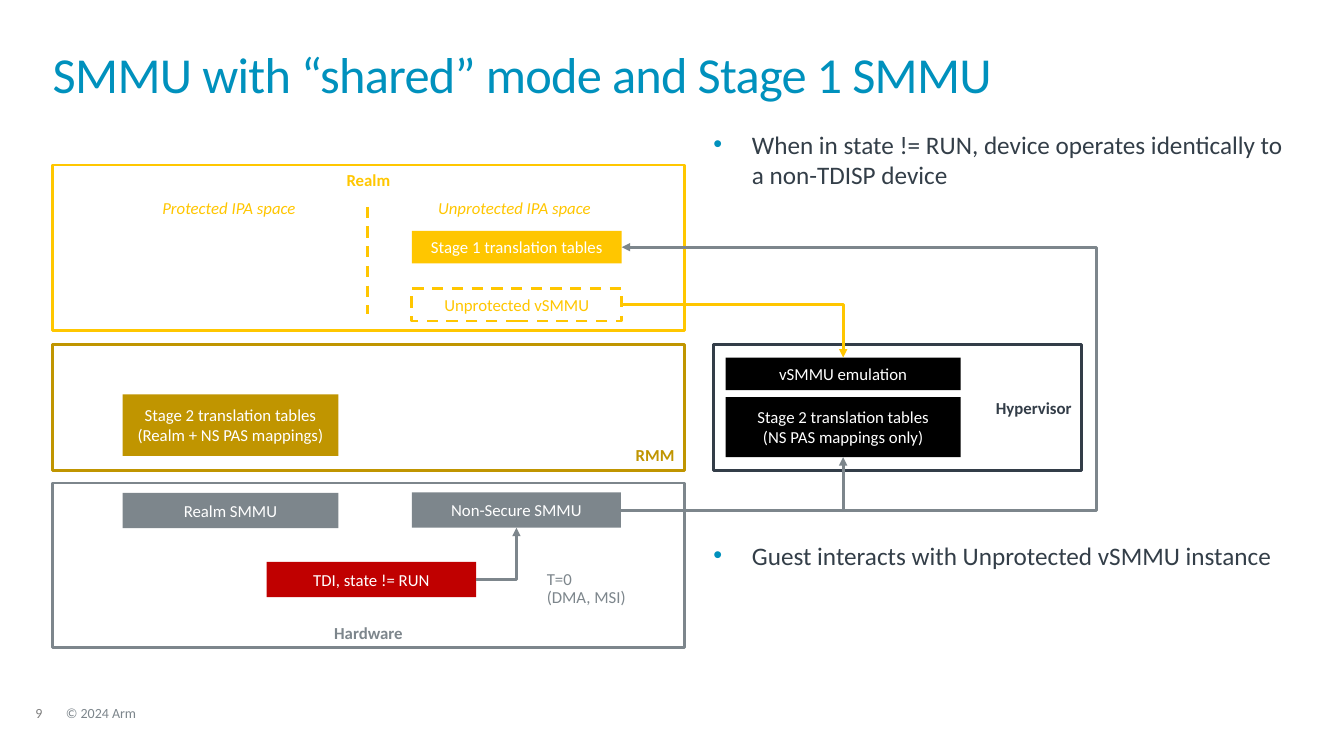
from dataclasses import dataclass

from lxml import etree
from pptx import Presentation
from pptx.dml.color import RGBColor
from pptx.enum.dml import MSO_LINE
from pptx.enum.shapes import MSO_CONNECTOR, MSO_SHAPE
from pptx.enum.text import MSO_ANCHOR, PP_ALIGN
from pptx.oxml.ns import qn
from pptx.util import Cm, Pt

DASH = MSO_LINE.DASH
STRAIGHT, ELBOW = MSO_CONNECTOR.STRAIGHT, MSO_CONNECTOR.ELBOW
RECTANGLE = MSO_SHAPE.RECTANGLE
TOP, MIDDLE, BOTTOM = MSO_ANCHOR.TOP, MSO_ANCHOR.MIDDLE, MSO_ANCHOR.BOTTOM
LEFT, CENTER, RIGHT = PP_ALIGN.LEFT, PP_ALIGN.CENTER, PP_ALIGN.RIGHT

FONT = "Calibri"
BLUE, SLATE, GREY, PAGE_GREY = "0091BD", "333E48", "7D868C", "7F7F7F"
REALM_YELLOW, YELLOW, GOLD = "FFC700", "FFC600", "C09500"
RED, BLACK, WHITE, HYPERVISOR_SLATE = "C00000", "000000", "FFFFFF", "333D48"
LINE_WIDTH = Pt(2)

# Connection sites of a rectangle
SITE_TOP, SITE_BOTTOM, SITE_RIGHT = 0, 2, 3


@dataclass
class Block:
    """A labelled rectangle; lengths in centimetres."""
    text: str
    left: float
    top: float
    width: float
    height: float
    color: str = WHITE
    fill: str | None = None
    outline: str | None = None
    dashed: bool = False
    bold: bool = False
    align: PP_ALIGN = CENTER
    anchor: MSO_ANCHOR = MIDDLE


@dataclass
class Label:
    """Text without a frame; lengths in centimetres."""
    text: str
    left: float
    top: float
    width: float
    height: float
    size: float
    color: str
    spacing: float = 1.0
    italic: bool = False
    wrap: bool = True
    bullet: bool = False
    tracking: int = 0


@dataclass
class Arrow:
    """An elbow arrow between two blocks, with an optional bend position."""
    source: str
    source_site: int
    target: str
    target_site: int
    color: str
    bend: float | None = None


STAGE_1 = "Stage 1 translation tables"
UNPROTECTED = "Unprotected vSMMU"
EMULATION = "vSMMU emulation"
NS_STAGE_2 = "Stage 2 translation tables\n(NS PAS mappings only)"
NS_SMMU = "Non-Secure SMMU"
TDI = "TDI, state != RUN"

BLOCKS = [
    Block("Hardware", 1.32, 12.17, 15.93, 4.15, GREY, WHITE, GREY, bold=True, anchor=BOTTOM),
    Block("Realm", 1.32, 4.16, 15.93, 4.18, REALM_YELLOW, WHITE, REALM_YELLOW,
          bold=True, anchor=TOP),
    Block("RMM", 1.32, 8.69, 15.93, 3.16, GOLD, None, GOLD,
          bold=True, align=RIGHT, anchor=BOTTOM),
    Block("Hypervisor", 17.98, 8.69, 9.28, 3.16, HYPERVISOR_SLATE, None, HYPERVISOR_SLATE,
          bold=True, align=RIGHT),
    Block("Stage 2 translation tables\n(Realm + NS PAS mappings)",
          3.09, 9.94, 5.44, 1.55, fill=GOLD),
    Block("Realm SMMU", 3.09, 12.42, 5.44, 0.89, fill=GREY),
    Block(NS_SMMU, 10.38, 12.41, 5.27, 0.89, fill=GREY),
    Block(TDI, 6.72, 14.16, 5.28, 0.89, fill=RED),
    Block(NS_STAGE_2, 18.29, 10.01, 5.92, 1.51, fill=BLACK),
    Block(EMULATION, 18.29, 9.01, 5.92, 0.82, fill=BLACK),
    Block(STAGE_1, 10.38, 5.82, 5.29, 0.82, fill=YELLOW),
    Block(UNPROTECTED, 10.38, 7.27, 5.29, 0.82, YELLOW, None, YELLOW, dashed=True),
]

LABELS = [
    Label("9", 0.89, 17.81, 0.86, 0.38, 10, PAGE_GREY, 0.9),
    Label("© 2024 Arm", 1.66, 17.81, 12.88, 0.38, 10, GREY, 0.9),
    Label("SMMU with “shared” mode and Stage 1 SMMU",
          1.33, 1.32, 31.2, 1.83, 36, BLUE, 0.85, tracking=-50),
    Label("Protected IPA space", 4.09, 5.03, 3.4, 0.46, 12, YELLOW, 0.9, italic=True, wrap=False),
    Label("Unprotected IPA space", 11.04, 5.03, 3.89, 0.46, 12, YELLOW, 0.9,
          italic=True, wrap=False),
    Label("T=0\n(DMA, MSI)", 13.78, 14.39, 2.01, 0.91, 12, GREY, 0.9, wrap=False),
    Label("When in state != RUN, device operates identically to a non-TDISP device",
          17.98, 3.25, 14.68, 2.26, 18, SLATE, bullet=True),
    Label("Guest interacts with Unprotected vSMMU instance",
          17.98, 13.61, 14.68, 2.26, 18, SLATE, bullet=True),
]

ARROWS = [
    Arrow(TDI, SITE_RIGHT, NS_SMMU, SITE_BOTTOM, GREY),
    Arrow(UNPROTECTED, SITE_RIGHT, EMULATION, SITE_TOP, YELLOW),
    Arrow(NS_SMMU, SITE_RIGHT, NS_STAGE_2, SITE_BOTTOM, GREY),
    Arrow(NS_SMMU, SITE_RIGHT, STAGE_1, SITE_RIGHT, GREY, bend=27.63),
]


def rgb(value: str) -> RGBColor:
    return RGBColor.from_string(value)


def style_font(font, size: float, color: str, bold: bool = False, italic: bool = False) -> None:
    font.name, font.size = FONT, Pt(size)
    font.bold, font.italic = bold, italic
    font.color.rgb = rgb(color)


def draw_block(page, block: Block):
    box = page.shapes.add_shape(RECTANGLE, Cm(block.left), Cm(block.top),
                                Cm(block.width), Cm(block.height))
    box.shadow.inherit = False
    if block.fill:
        box.fill.solid()
        box.fill.fore_color.rgb = rgb(block.fill)
    else:
        box.fill.background()
    if block.outline:
        box.line.color.rgb = rgb(block.outline)
        box.line.width = LINE_WIDTH
        if block.dashed:
            box.line.dash_style = DASH
    else:
        box.line.fill.background()
    frame = box.text_frame
    frame.word_wrap = True
    frame.vertical_anchor = block.anchor
    frame.text = block.text
    for para in frame.paragraphs:
        para.alignment = block.align
        for span in para.runs:
            style_font(span.font, 12, block.color, block.bold)
    return box


def add_bullet(para) -> None:
    properties = para._p.get_or_add_pPr()
    properties.set("marL", str(Cm(0.97)))
    properties.set("indent", str(-Cm(0.97)))
    bullet_color = etree.SubElement(properties, qn("a:buClr"))
    etree.SubElement(bullet_color, qn("a:srgbClr"), val=BLUE)
    etree.SubElement(properties, qn("a:buFont"), typeface="Arial")
    etree.SubElement(properties, qn("a:buChar"), char="•")


def draw_label(page, label: Label) -> None:
    box = page.shapes.add_textbox(Cm(label.left), Cm(label.top),
                                  Cm(label.width), Cm(label.height))
    frame = box.text_frame
    frame.word_wrap = label.wrap
    frame.margin_left = frame.margin_right = frame.margin_top = frame.margin_bottom = 0
    para = frame.paragraphs[0]
    para.text = label.text
    if label.bullet:
        add_bullet(para)
    para.alignment = LEFT
    para.line_spacing = label.spacing
    for span in para.runs:
        style_font(span.font, label.size, label.color, italic=label.italic)
        if label.tracking:
            span.font._element.set("spc", str(label.tracking))


def style_connector(connector, color: str) -> None:
    connector.line.color.rgb = rgb(color)
    connector.line.width = LINE_WIDTH
    etree.SubElement(connector._element.spPr, qn("a:effectLst"))


def draw_arrow(page, arrow: Arrow, boxes: dict) -> None:
    connector = page.shapes.add_connector(ELBOW, 0, 0, 0, 0)
    connector.begin_connect(boxes[arrow.source], arrow.source_site)
    connector.end_connect(boxes[arrow.target], arrow.target_site)
    style_connector(connector, arrow.color)
    etree.SubElement(connector.line._get_or_add_ln(), qn("a:tailEnd"), type="triangle")
    geometry = connector._element.spPr.find(qn("a:prstGeom"))
    if arrow.bend is None:
        geometry.set("prst", "bentConnector2")
    else:
        ratio = (Cm(arrow.bend) - connector.begin_x) / connector.width
        etree.SubElement(geometry.find(qn("a:avLst")), qn("a:gd"),
                         name="adj1", fmla=f"val {round(ratio * 100000)}")


def main() -> None:
    deck = Presentation()
    deck.slide_width, deck.slide_height = Cm(33.87), Cm(19.05)
    page = deck.slides.add_slide(deck.slide_layouts[6])
    boxes = {block.text: draw_block(page, block) for block in BLOCKS}
    divider = page.shapes.add_connector(STRAIGHT, Cm(9.27), Cm(5.21), Cm(9.27), Cm(7.92))
    style_connector(divider, YELLOW)
    divider.line.dash_style = DASH
    for label in LABELS:
        draw_label(page, label)
    for arrow in ARROWS:
        draw_arrow(page, arrow, boxes)
    deck.save("out.pptx")


if __name__ == "__main__":
    main()
